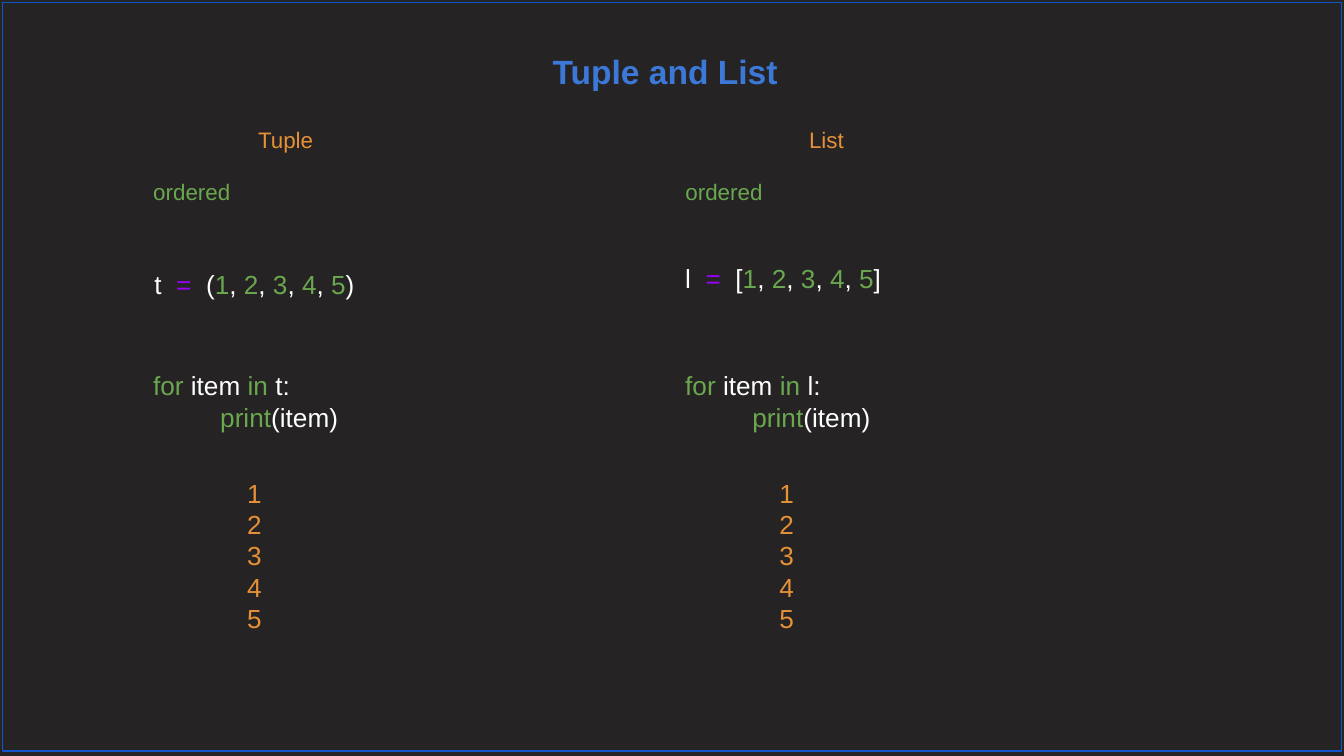
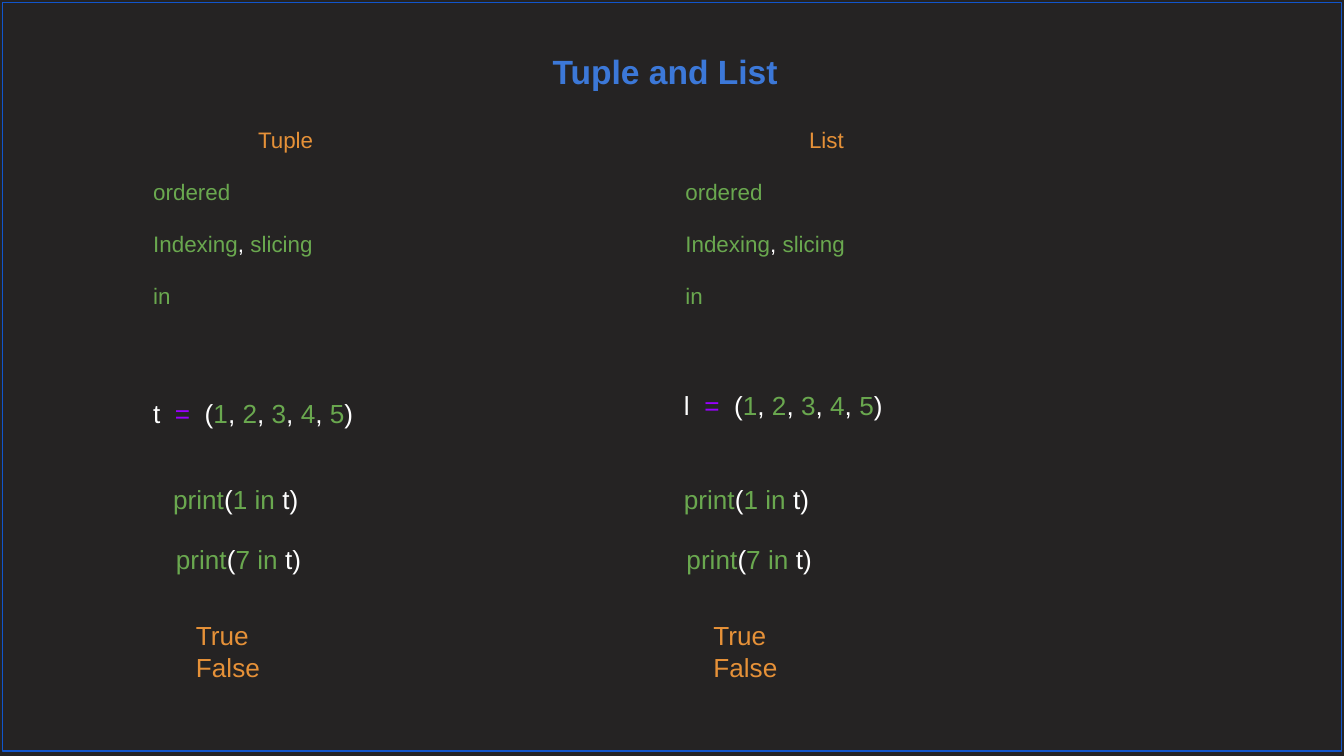
"""Build two slides comparing tuples and lists in Python."""
from lxml import etree
from pptx import Presentation
from pptx.dml.color import RGBColor
from pptx.enum.shapes import MSO_SHAPE as Shape
from pptx.enum.text import MSO_ANCHOR as Anchor, MSO_AUTO_SIZE as AutoSize, PP_ALIGN as Align
from pptx.oxml.ns import qn
from pptx.util import Inches, Pt

BACKGROUND = RGBColor(0x25, 0x23, 0x23)
WHITE = RGBColor(0xFF, 0xFF, 0xFF)
BLUE = RGBColor(0x3C, 0x78, 0xD8)
BORDER = RGBColor(0x11, 0x55, 0xCC)
ORANGE = RGBColor(0xE6, 0x91, 0x38)
GREEN = RGBColor(0x6A, 0xA8, 0x4F)
PURPLE = RGBColor(0x99, 0x00, 0xFF)
CODE = (WHITE, GREEN)
OUTPUT = (ORANGE, ORANGE)

FONT = "Arial"
TITLE = "Tuple and List"
NO_GRID_STYLE = "{2D5ABB26-0587-4C30-8999-92F81FD0307C}"
WIDTH = 10
HEIGHT = WIDTH * 9 / 16
LEFT, COLUMN, ROW = 1.04, 3.96, 0.37
INSET, EDGE = 0.1, 0.02
HEADINGS = [("Tuple", 0.78), ("List", 0.92)]
NUMBERS = "|1|, |2|, |3|, |4|, |5|"
DIGITS = ["1", "2", "3", "4", "5"]
RESULTS = ["True", "False"]

SLIDES = [
    (["|ordered"], [
        (0, 0.01, 1.9, 1.75, CODE, [f"t  |=|  ({NUMBERS})"]),
        (0, 0, 2.65, 1.81, CODE, ["|for |item| in |t:", "\t|print|(item)"]),
        (1, 0, 1.85, 1.75, CODE, [f"l  |=|  [{NUMBERS}]"]),
        (1, 0, 2.65, 1.81, CODE, ["|for |item| in |l:", "\t|print|(item)"]),
        (0, 0.7, 3.45, 0.42, OUTPUT, DIGITS),
        (1, 0.7, 3.45, 0.42, OUTPUT, DIGITS),
    ]),
    (["|ordered", "|Indexing|,| slicing", "|in"], [
        (0, 0, 2.86, 1.75, CODE, [f"t  |=|  ({NUMBERS})"]),
        (1, -0.01, 2.8, 1.75, CODE, [f"l  |=|  ({NUMBERS})"]),
        (0, 0.15, 3.5, 1.6, CODE, ["|print|(|1 in| t)"]),
        (0, 0.17, 3.94, 1.6, CODE, ["|print|(|7 in| t)"]),
        (1, -0.01, 3.5, 1.6, CODE, ["|print|(|1 in| t)"]),
        (1, 0.01, 3.94, 1.6, CODE, ["|print|(|7 in| t)"]),
        (0, 0.32, 4.51, 0.74, OUTPUT, RESULTS),
        (1, 0.21, 4.51, 0.74, OUTPUT, RESULTS),
    ]),
]


def write_line(paragraph, marked, size, colours, bold=False):
    """Write pieces split by bars in alternating colours, with purple equals signs."""
    for index, piece in enumerate(marked.split("|")):
        if piece:
            run = paragraph.add_run()
            run.text = piece
            run.font.name = FONT
            run.font.size = Pt(size)
            run.font.bold = bold
            run.font.color.rgb = PURPLE if piece == "=" else colours[index % 2]


def set_insets(frame):
    """Give a text frame or table cell equal insets."""
    frame.margin_left = frame.margin_right = Inches(INSET)
    frame.margin_top = frame.margin_bottom = Inches(INSET)


presentation = Presentation()
presentation.slide_width = Inches(WIDTH)
presentation.slide_height = Inches(HEIGHT)
master_fill = presentation.slide_master.background.fill
master_fill.solid()
master_fill.fore_color.rgb = BACKGROUND

for properties, blocks in SLIDES:
    slide = presentation.slides.add_slide(presentation.slide_layouts[5])
    title = slide.shapes.title
    title.left, title.top = Inches(-0.05), Inches(0.28)
    title.width, title.height = Inches(WIDTH), Inches(0.63)
    set_insets(title.text_frame)
    title.text_frame.auto_size = AutoSize.NONE
    title.text_frame.vertical_anchor = Anchor.TOP
    paragraph = title.text_frame.paragraphs[0]
    paragraph.alignment = Align.CENTER
    write_line(paragraph, TITLE, 18, (BLUE, BLUE), True)

    row_count = len(properties) + 1
    frame = slide.shapes.add_table(row_count, 2, Inches(LEFT), Inches(0.85),
                                   Inches(2 * COLUMN), Inches(row_count * ROW))
    table = frame.table
    table.first_row = table.horz_banding = False
    next(table._tbl.iter(qn("a:tableStyleId"))).text = NO_GRID_STYLE
    for column, (heading, indent) in enumerate(HEADINGS):
        table.columns[column].width = Inches(COLUMN)
        for row, marked in enumerate([heading] + properties):
            table.rows[row].height = Inches(ROW)
            cell = table.cell(row, column)
            set_insets(cell)
            if row == 0:
                cell.margin_left = Inches(INSET + indent)
            cell_properties = cell._tc.get_or_add_tcPr()
            for side in ("a:lnL", "a:lnR", "a:lnT", "a:lnB"):
                line = etree.SubElement(cell_properties, qn(side))
                etree.SubElement(line, qn("a:noFill"))
            cell.fill.background()
            write_line(cell.text_frame.paragraphs[0], marked, 12, CODE if row else OUTPUT)

    for column, offset, top, width, colours, lines in blocks:
        box = slide.shapes.add_textbox(
            Inches(LEFT + column * COLUMN + offset), Inches(top),
            Inches(width), Inches(2 * INSET + 0.24 * len(lines)))
        text_frame = box.text_frame
        text_frame.word_wrap = True
        text_frame.auto_size = AutoSize.SHAPE_TO_FIT_TEXT
        set_insets(text_frame)
        for index, marked in enumerate(lines):
            paragraph = text_frame.add_paragraph() if index else text_frame.paragraphs[0]
            if marked.startswith("\t"):
                indented = paragraph._p.get_or_add_pPr()
                indented.set("marL", "0")
                indented.set("indent", str(Inches(0.5)))
            write_line(paragraph, marked.lstrip("\t"), 14, colours)

    border = slide.shapes.add_shape(Shape.RECTANGLE, Inches(EDGE), Inches(EDGE),
                                    Inches(WIDTH - 2 * EDGE), Inches(5.57))
    border.shadow.inherit = False
    border.fill.background()
    border.line.color.rgb = BORDER
    border.line.width = Pt(0.75)

presentation.save("out.pptx")
